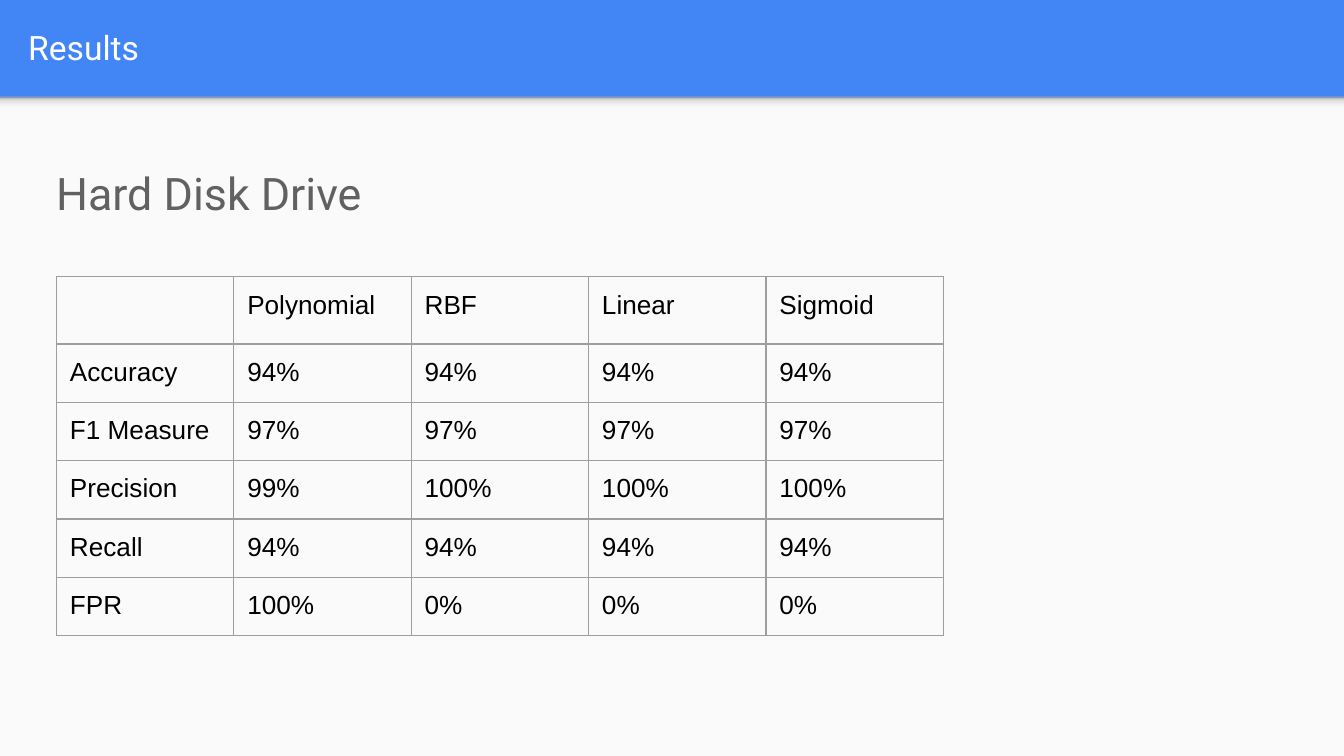
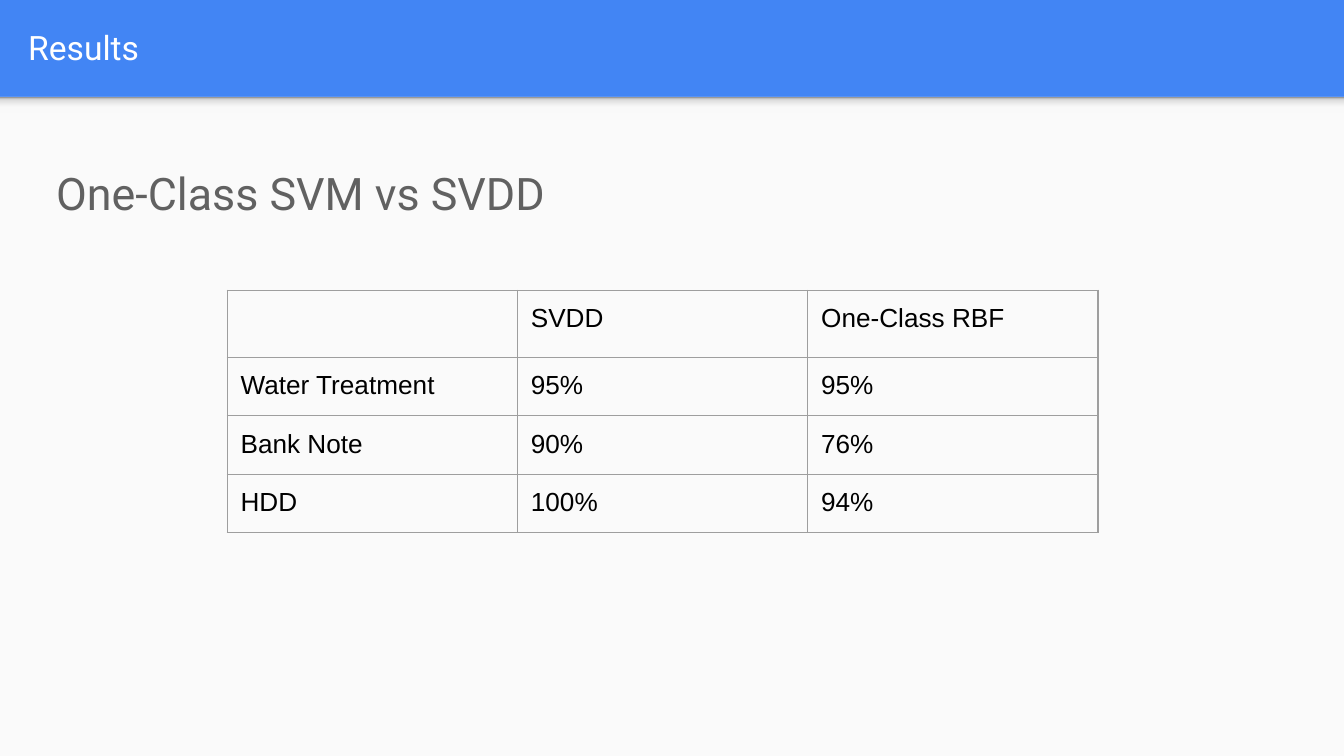
from lxml.etree import SubElement
from pptx import Presentation
from pptx.dml.color import RGBColor
from pptx.enum.shapes import MSO_SHAPE
from pptx.enum.text import MSO_ANCHOR, PP_ALIGN
from pptx.oxml.ns import qn
from pptx.util import Inches, Pt

BLUE, PALE, GREY, RULE = "4285F4", "FAFAFA", "616161", "9E9E9E"
SHADE = {0: "F9F9F9", 36: "F9F9F9", 80: "DEDEDE", 100: "999999"}
PAD = Inches(0.1)
INSET = {f"margin_{side}": PAD for side in ("left", "top", "right", "bottom")}
ROW = Inches(0.42)

SLIDES = [
    {
        "head": "Hard Disk Drive",
        "left": 0.42, "top": 2.06, "col": 1.32, "first": 0.42,
        "rows": [
            ["", "Polynomial", "RBF", "Linear", "Sigmoid"],
            ["Accuracy", "94%", "94%", "94%", "94%"],
            ["F1 Measure", "97%", "97%", "97%", "97%"],
            ["Precision", "99%", "100%", "100%", "100%"],
            ["Recall", "94%", "94%", "94%", "94%"],
            ["FPR", "100%", "0%", "0%", "0%"],
        ],
    },
    {
        "head": "One-Class SVM vs SVDD",
        "left": 1.69, "top": 2.16, "col": 2.16, "first": 0.43,
        "rows": [
            ["", "SVDD", "One-Class RBF"],
            ["Water Treatment", "95%", "95%"],
            ["Bank Note", "90%", "76%"],
            ["HDD", "100%", "94%"],
        ],
    },
]


def paint(fill, color):
    fill.solid()
    fill.fore_color.rgb = RGBColor.from_string(color)


def write(frame, text, size, font, color):
    """Put one left-aligned run of text in the frame."""
    para = frame.paragraphs[0]
    para.alignment = PP_ALIGN.LEFT
    run = para.add_run()
    run.text = text
    for name, value in {"size": Pt(size), "name": font}.items():
        setattr(run.font, name, value)
    paint(run.font.fill, color)


deck = Presentation()
deck.slide_width = Inches(10)
deck.slide_height = deck.slide_width * 9 // 16
layout = deck.slide_layouts[5]
paint(layout.background.fill, BLUE)
pages = [deck.slides.add_slide(layout) for _ in SLIDES]

# The panel and its shade are drawn once, then moved behind the layout's parts
bands = []
for height in (4.91, 0.12):
    band = pages[0].shapes.add_shape(
        MSO_SHAPE.RECTANGLE, 0, Inches(0.72), Inches(10), Inches(height))
    band.shadow.inherit = False
    band.line.fill.background()
    bands.append(band)
panel, shade = bands
paint(panel.fill, PALE)
shade.fill.gradient()
shade.fill.gradient_angle = 90
stops = shade.element.find(".//" + qn("a:gsLst"))
stops.clear()
for pos, color in SHADE.items():
    stop = SubElement(stops, qn("a:gs"), pos=str(pos * 1000))
    SubElement(stop, qn("a:srgbClr"), val=color)
for place, band in enumerate(bands, 2):
    layout.shapes.element.insert(place, band.element)

for page, data in zip(pages, SLIDES):
    title = page.shapes.title
    title.left, title.top = Inches(0.11), Inches(0.02)
    title.width, title.height = Inches(9.65), Inches(0.66)
    box = page.shapes.add_textbox(
        Inches(0.32), Inches(1.13), Inches(5), Inches(3.2))
    for frame, anchor in ((title.text_frame, MSO_ANCHOR.MIDDLE),
                          (box.text_frame, MSO_ANCHOR.TOP)):
        style = {**INSET, "word_wrap": True, "vertical_anchor": anchor}
        for name, value in style.items():
            setattr(frame, name, value)
    write(title.text_frame, "Results", 18, "Roboto", "FFFFFF")
    write(box.text_frame, data["head"], 24, "Roboto", GREY)

    rows = data["rows"]
    count, width = len(rows[0]), Inches(data["col"])
    holder = page.shapes.add_table(
        len(rows), count, Inches(data["left"]), Inches(data["top"]),
        width * count, ROW * len(rows))
    table = holder.table
    table.first_row = table.horz_banding = False
    table.rows[0].height = Inches(data["first"])
    holder.width = holder.height = Inches(3.28)
    for row, texts in zip(table.rows, rows):
        for cell, text in zip(row.cells, texts):
            for name, value in INSET.items():
                setattr(cell, name, value)
            props = cell._tc.get_or_add_tcPr()
            for edge in "LRTB":
                line = SubElement(props, qn(f"a:ln{edge}"), w=str(Pt(0.75)))
                solid = SubElement(line, qn("a:solidFill"))
                SubElement(solid, qn("a:srgbClr"), val=RULE)
            cell.fill.background()
            if text:
                write(cell.text_frame, text, 14, "Arial", "000000")

deck.save("out.pptx")
